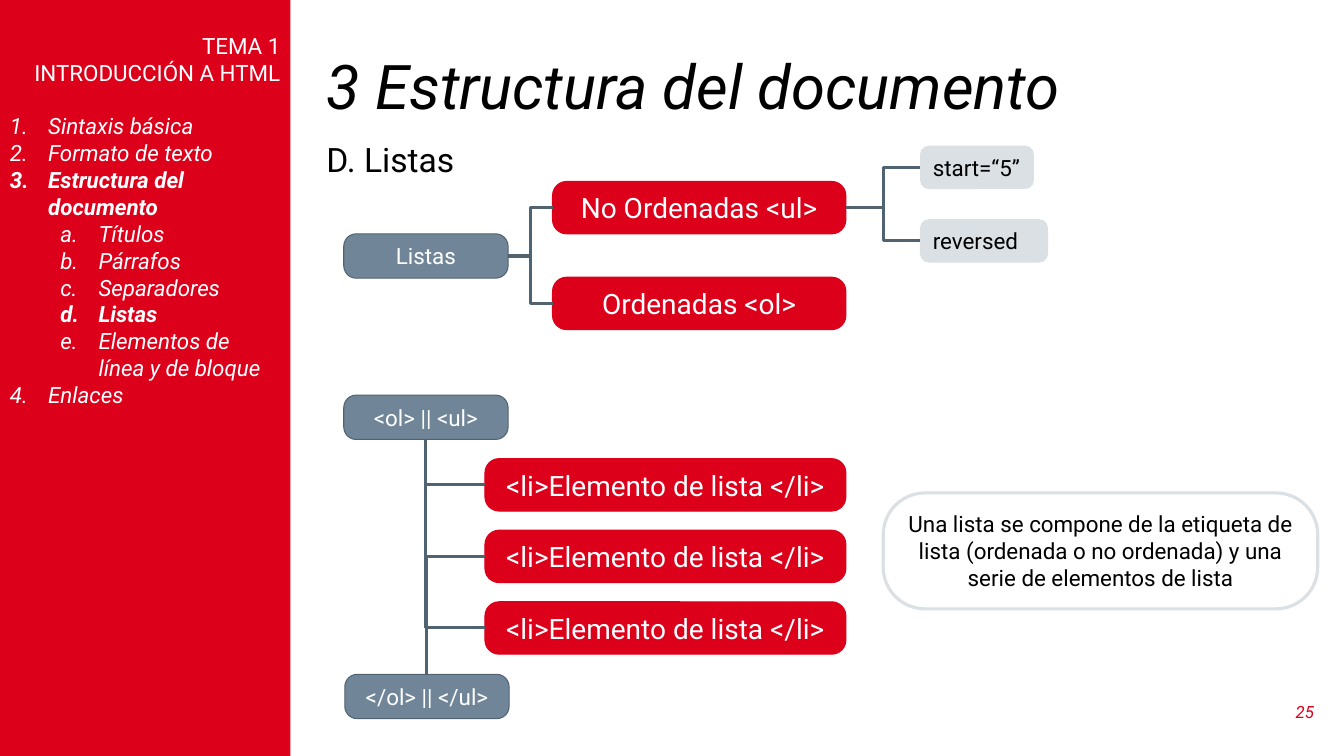
from pptx import Presentation
from pptx.dml.color import RGBColor
from pptx.enum.shapes import MSO_CONNECTOR, MSO_SHAPE
from pptx.enum.text import MSO_ANCHOR, PP_ALIGN
from pptx.util import Inches, Pt
from lxml import etree

ROUNDED, RECTANGLE = MSO_SHAPE.ROUNDED_RECTANGLE, MSO_SHAPE.RECTANGLE
ELBOW = MSO_CONNECTOR.ELBOW
LEFT, CENTER, RIGHT = PP_ALIGN.LEFT, PP_ALIGN.CENTER, PP_ALIGN.RIGHT
MIDDLE, TOP = MSO_ANCHOR.MIDDLE, MSO_ANCHOR.TOP
RED, SLATE, DARK, PALE = "DC001B", "708698", "516270", "DAE0E4"
WHITE, BLACK = "FFFFFF", "000000"
FONT = "Roboto"
DRAWING = "{http://schemas.openxmlformats.org/drawingml/2006/main}"
paint = RGBColor.from_string


def write(para, text, size, color, align=LEFT, italic=False, bold=False):
    para.alignment = align
    span = para.add_run()
    span.text = text
    span.font.name = FONT
    span.font.size = Pt(size)
    span.font.color.rgb = paint(color)
    span.font.italic = italic
    span.font.bold = bold


def add_box(kind, left, top, width, height, fill, line, weight=0.75, corner=None):
    box = page.shapes.add_shape(kind, Inches(left), Inches(top), Inches(width), Inches(height))
    box.shadow.inherit = False
    if corner:
        box.adjustments[0] = corner
    if fill:
        box.fill.solid()
        box.fill.fore_color.rgb = paint(fill)
    else:
        box.fill.background()
    if line:
        box.line.color.rgb = paint(line)
        box.line.width = Pt(weight)
    else:
        box.line.fill.background()
    box.text_frame.word_wrap = True
    box.text_frame.vertical_anchor = MIDDLE
    return box


deck = Presentation()
deck.slide_width, deck.slide_height = Inches(13.33), Inches(7.5)
page = deck.slides.add_slide(deck.slide_layouts[5])

title = page.shapes.title
title.left, title.top = Inches(3.14), Inches(0.5)
title.width, title.height = Inches(9.99), Inches(0.78)
title.text_frame.vertical_anchor = MIDDLE
title.text_frame.paragraphs[0].line_spacing = 0.9
write(title.text_frame.paragraphs[0], "3 Estructura del documento", 44, BLACK, italic=True)

sidebar = add_box(RECTANGLE, 0, 0, 2.88, 7.5, RED, None).text_frame
sidebar.vertical_anchor = TOP
sidebar.margin_top = Inches(0.32)
write(sidebar.paragraphs[0], "TEMA 1", 16, WHITE, RIGHT)
write(sidebar.add_paragraph(), "INTRODUCCIÓN A HTML", 16, WHITE, RIGHT)

contents = [
    (0, "Sintaxis básica"), (0, "Formato de texto"), (0, "Estructura del documento"),
    (1, "Títulos"), (1, "Párrafos"), (1, "Separadores"), (1, "Listas"),
    (1, "Elementos de línea y de bloque"), (0, "Enlaces"),
]
current = ("Estructura del documento", "Listas")
numbering = ("arabicPeriod", "alphaLcPeriod")
for index, (level, entry) in enumerate(contents):
    para = sidebar.add_paragraph()
    para.level = level
    para.space_before = Pt(0 if index else 19)
    write(para, entry, 16, WHITE, italic=True, bold=entry in current)
    settings = para._p.get_or_add_pPr()
    settings.set("marL", str(Inches(0.38 + 0.5 * level)))
    settings.set("indent", str(-Inches(0.38)))
    etree.SubElement(settings, DRAWING + "buFont", typeface="+mj-lt")
    etree.SubElement(settings, DRAWING + "buAutoNum", type=numbering[level])

labels = [
    (3.14, 1.33, 7.46, 0.5, "D. Listas", 24, BLACK, LEFT, False, TOP),
    (12.62, 6.86, 0.51, 0.4, "25", 12, RED, RIGHT, True, MIDDLE),
]
for left, top, width, height, text, size, color, align, italic, anchor in labels:
    label = page.shapes.add_textbox(Inches(left), Inches(top), Inches(width), Inches(height)).text_frame
    label.word_wrap = True
    label.vertical_anchor = anchor
    write(label.paragraphs[0], text, size, color, align, italic)

item_tops = [4.55 + 0.71 * row for row in range(3)]
tags = [(3.41, 2.32, "Listas"), (3.41, 3.92, "<ol> || <ul>"), (3.42, 6.69, "</ol> || </ul>")]
bars = [(5.48, 1.8, 2.91, "No Ordenadas <ul>"), (5.48, 2.75, 2.91, "Ordenadas <ol>")]
bars += [(4.81, top, 3.58, "<li>Elemento de lista </li>") for top in item_tops]
attributes = [(1.45, 1.12, "start=“5”"), (2.18, 1.26, "reversed")]

for left, top, text in tags:
    tag = add_box(ROUNDED, left, top, 1.63, 0.44, SLATE, DARK, corner=0.28)
    write(tag.text_frame.paragraphs[0], text, 16, WHITE, CENTER)
for left, top, width, text in bars:
    bar = add_box(ROUNDED, left, top, width, 0.52, RED, RED, corner=0.27)
    write(bar.text_frame.paragraphs[0], text, 20, WHITE, CENTER)
for top, width, text in attributes:
    attribute = add_box(ROUNDED, 9.13, top, width, 0.42, PALE, PALE, corner=0.2)
    write(attribute.text_frame.paragraphs[0], text, 16, BLACK)
note = add_box(ROUNDED, 8.76, 4.89, 4.31, 1.15, None, PALE, 2.25, 0.36)
write(
    note.text_frame.paragraphs[0],
    "Una lista se compone de la etiqueta de lista (ordenada o no ordenada) y una serie de elementos de lista",
    16, BLACK, CENTER,
)

routes = [(5.04, 2.54, 5.48, y, "bentConnector3", 0) for y in (2.06, 3.01)]
routes += [(8.39, 2.06, 9.13, y, "bentConnector3", 0) for y in (1.66, 2.39)]
routes += [(4.81, top + 0.26, 4.22, 4.36, "bentConnector2", 0) for top in item_tops]
routes += [(3.06, 5.53, 5.39, 5.52, "bentConnector3", 270)]
for start_x, start_y, end_x, end_y, bend, turn in routes:
    link = page.shapes.add_connector(ELBOW, Inches(start_x), Inches(start_y), Inches(end_x), Inches(end_y))
    link.line.color.rgb = paint(DARK)
    link.line.width = Pt(2.25)
    properties = link._element.spPr
    properties.find(DRAWING + "prstGeom").set("prst", bend)
    properties.find(DRAWING + "xfrm").set("rot", str(turn * 60000))
    etree.SubElement(properties, DRAWING + "effectLst")

deck.save("out.pptx")
